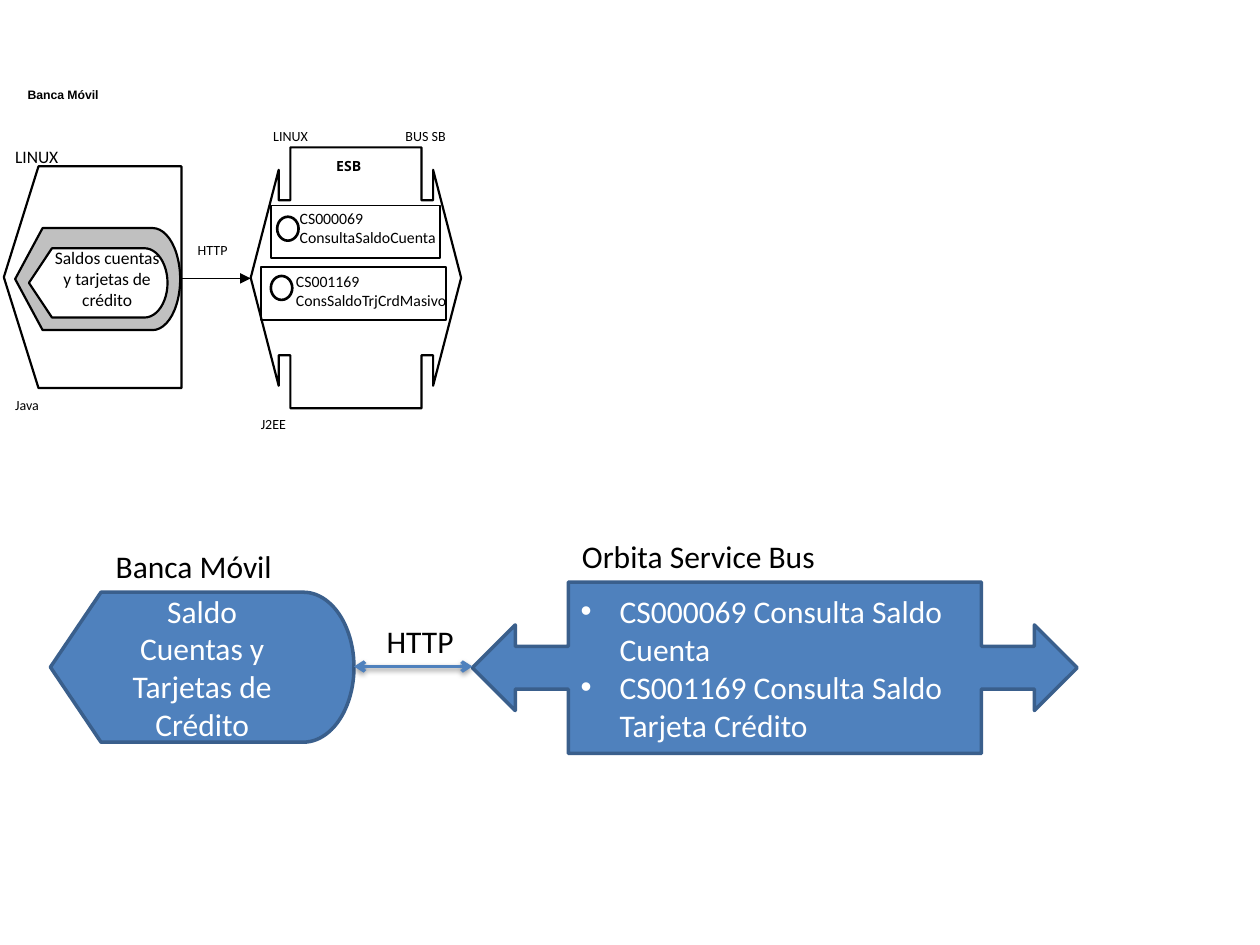
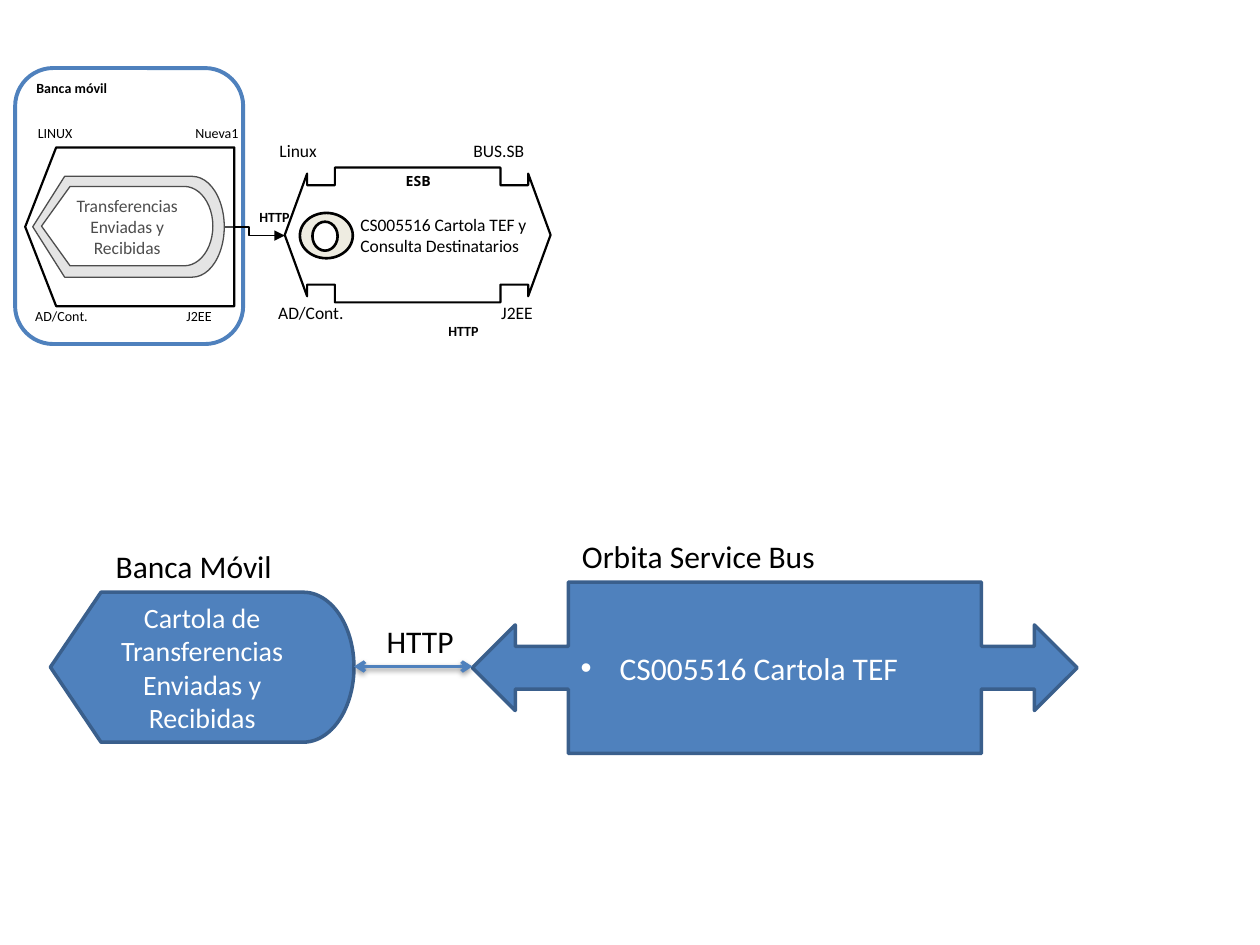
"""Build two slides that map mobile banking services to a service bus."""
from lxml import etree
from pptx import Presentation
from pptx.dml.color import RGBColor
from pptx.enum.dml import MSO_LINE
from pptx.enum.shapes import MSO_CONNECTOR, MSO_SHAPE
from pptx.enum.text import MSO_ANCHOR, MSO_AUTO_SIZE, PP_ALIGN
from pptx.oxml.ns import qn
from pptx.util import Inches, Pt

BLACK = RGBColor(0x00, 0x00, 0x00)
WHITE = RGBColor(0xFF, 0xFF, 0xFF)
SILVER = RGBColor(0xC0, 0xC0, 0xC0)
PALE_GREY = RGBColor(0xD9, 0xD9, 0xD9)
CREAM = RGBColor(0xEE, 0xEC, 0xE1)
BLUE = RGBColor(0x4F, 0x81, 0xBD)
DARK_BLUE = RGBColor(0x3A, 0x5F, 0x8C)

BODY_FONT = "Calibri"
BUS_FONT = "Open Sans"
TITLE_FONT = "Arial"

CALLOUT = MSO_SHAPE.LEFT_RIGHT_ARROW_CALLOUT
DISPLAY = MSO_SHAPE.FLOWCHART_DISPLAY
PENTAGON = MSO_SHAPE.PENTAGON
ELLIPSE = MSO_SHAPE.OVAL
RECTANGLE = MSO_SHAPE.RECTANGLE
ROUNDED = MSO_SHAPE.ROUNDED_RECTANGLE
ELBOW = MSO_CONNECTOR.ELBOW
STRAIGHT = MSO_CONNECTOR.STRAIGHT
SOLID = MSO_LINE.SOLID
TOP, MIDDLE = MSO_ANCHOR.TOP, MSO_ANCHOR.MIDDLE
LEFT, CENTER = PP_ALIGN.LEFT, PP_ALIGN.CENTER
GROW, FIXED = MSO_AUTO_SIZE.SHAPE_TO_FIT_TEXT, MSO_AUTO_SIZE.NONE

NORMAL = (0.1, 0.05, 0.1, 0.05)
NO_SIDES = (0, 0.05, 0, 0.05)
NO_RIGHT = (0.1, 0.05, 0, 0.05)
NO_INSETS = (0, 0, 0, 0)


def add_child(parent, tag, **attributes):
    """Append a drawing element with its attributes."""
    child = etree.SubElement(parent, qn(tag))
    for name, value in attributes.items():
        child.set(name, str(value))
    return child


def write(box, lines, size, color=BLACK, align=LEFT, anchor=TOP, insets=NORMAL,
          font=BODY_FONT, bold=False, bullets=False):
    """Fill a box with one paragraph for each line."""
    frame = box.text_frame
    frame.word_wrap = True
    frame.vertical_anchor = anchor
    (frame.margin_left, frame.margin_top,
     frame.margin_right, frame.margin_bottom) = map(Inches, insets)
    for index, line in enumerate(lines):
        para = frame.add_paragraph() if index else frame.paragraphs[0]
        para.text = line
        para.alignment = align
        para.font.name = font
        para.font.size = Pt(size)
        para.font.bold = bold
        para.font.color.rgb = color
        if bullets:
            add_bullet(para)


def add_bullet(para):
    """Give a paragraph a round bullet and a hanging indent."""
    properties = para._p.get_or_add_pPr()
    properties.set("marL", str(Inches(0.31)))
    properties.set("indent", str(-Inches(0.31)))
    bullet_font = etree.Element(qn("a:buFont"), typeface="Arial")
    bullet = etree.Element(qn("a:buChar"), char="•")
    properties.insert(0, bullet_font)
    bullet_font.addnext(bullet)


def add_label(page, text, at, size, grow=True, wrap=True, **style):
    """Add a text box."""
    box = page.shapes.add_textbox(*map(Inches, at))
    write(box, [text], size, **style)
    box.text_frame.word_wrap = wrap
    box.text_frame.auto_size = GROW if grow else FIXED


def add_figure(page, kind, at, fill=None, line=BLACK, width=1.25,
               adjust=(), turn=0, opacity=None):
    """Add an outlined preset shape, filled when a colour is given."""
    figure = page.shapes.add_shape(kind, *map(Inches, at))
    figure.shadow.inherit = False
    figure.rotation = turn
    for index, value in enumerate(adjust):
        figure.adjustments[index] = value
    if fill is None:
        figure.fill.background()
    else:
        figure.fill.solid()
        figure.fill.fore_color.rgb = fill
    if opacity is not None:
        color = figure._element.spPr.find(qn("a:solidFill"))[0]
        add_child(color, "a:alpha", val=opacity * 1000)
    figure.line.color.rgb = line
    figure.line.width = Pt(width)
    return figure


def add_arrow(page, kind, start, end, color, width, head=None, tail=None, shadow=False):
    """Add a connector with arrowheads and an optional soft shadow."""
    arrow = page.shapes.add_connector(kind, *map(Inches, start + end))
    arrow.line.color.rgb = color
    arrow.line.width = Pt(width)
    arrow.line.dash_style = SOLID
    outline = arrow.line._get_or_add_ln()
    if head:
        add_child(outline, "a:headEnd", type=head)
    if tail:
        add_child(outline, "a:tailEnd", type=tail)
    effects = add_child(arrow._element.spPr, "a:effectLst")
    if shadow:
        cast = add_child(effects, "a:outerShdw", blurRad=Pt(3.1), dist=Pt(1.6),
                         dir=90 * 60000, rotWithShape=0)
        shade = add_child(cast, "a:srgbClr", val=BLACK)
        add_child(shade, "a:alpha", val=38000)


def add_server(page, at, **style):
    """Add the left-pointing pentagon of an application server."""
    add_figure(page, PENTAGON, at, adjust=[0.195], turn=180, **style)


def add_summary(page, client, client_size, services):
    """Add the large blue diagram at the foot of a slide."""
    bus = add_figure(page, CALLOUT, (3.75, 4.62, 4.8, 1.36), BLUE, DARK_BLUE, 2,
                     adjust=[0.25, 0.25, 0.25, 0.683])
    write(bus, services, 18, WHITE, anchor=MIDDLE, bullets=True)
    add_label(page, "Orbita Service Bus", (4.52, 4.21, 2.09, 0.4), 18, wrap=False)
    screen = add_figure(page, DISPLAY, (0.4, 4.7, 2.41, 1.19), BLUE, DARK_BLUE, 2)
    write(screen, [client], client_size, WHITE, CENTER, MIDDLE)
    add_label(page, "HTTP", (2.97, 4.89, 0.74, 0.4), 18, wrap=False)
    add_label(page, "Banca Móvil", (0.82, 4.29, 1.46, 0.4), 18, wrap=False)
    add_arrow(page, STRAIGHT, (2.81, 5.29), (3.75, 5.29), BLUE, 2,
              head="arrow", tail="arrow", shadow=True)


def build_balances(page):
    """Draw the account and card balance services."""
    add_arrow(page, ELBOW, (1.43, 2.21), (1.99, 2.21), BLACK, 1, tail="triangle")
    add_label(page, "LINUX", (2.07, 0.96, 0.8, 0.24), 8)
    add_label(page, "BUS SB", (3.12, 0.96, 0.8, 0.24), 8)
    add_figure(page, CALLOUT, (1.99, 1.17, 1.67, 2.07), WHITE,
               adjust=[0.737, 0.513, 0.133, 0.623])
    add_label(page, "ESB", (2.57, 1.2, 0.47, 0.23), 8, font=BUS_FONT, bold=True)
    add_label(page, "HTTP", (1.47, 1.87, 0.51, 0.24), 8)
    add_label(page, "CS000069 ConsultaSaldoCuenta", (2.28, 1.63, 1.34, 0.36), 9,
              grow=False, anchor=MIDDLE)
    add_label(page, "CS001169 ConsSaldoTrjCrdMasivo", (2.25, 2.06, 1.38, 0.5), 9,
              grow=False, anchor=MIDDLE, insets=NO_RIGHT)
    add_server(page, (0.03, 1.32, 1.41, 1.76))
    add_label(page, "Banca Móvil", (0.12, 0.64, 0.88, 0.26), 7, font=TITLE_FONT, bold=True)
    add_figure(page, DISPLAY, (0.12, 1.81, 1.31, 0.81), SILVER)
    add_figure(page, DISPLAY, (0.23, 1.97, 1.1, 0.55), WHITE)
    add_label(page, "Saldos cuentas y tarjetas de crédito", (0.31, 1.91, 1.08, 0.6), 10,
              align=CENTER)
    add_label(page, "LINUX", (0.12, 1.11, 1.37, 0.27), 10, insets=NO_SIDES)
    add_label(page, "Java", (0.12, 3.1, 1.39, 0.24), 8, insets=NO_SIDES)
    add_label(page, "J2EE", (2.07, 3.25, 1.56, 0.24), 8, insets=NO_SIDES)
    for left, top in [(2.2, 1.72), (2.15, 2.19)]:
        add_figure(page, ELLIPSE, (left, top, 0.17, 0.19), WHITE, width=1.5)
    for left, top, width in [(2.15, 1.63, 1.34), (2.07, 2.12, 1.47)]:
        add_figure(page, RECTANGLE, (left, top, width, 0.42), width=1)
    add_summary(page, "Saldo Cuentas y Tarjetas de Crédito", 18,
                ["CS000069 Consulta Saldo Cuenta",
                 "CS001169 Consulta Saldo Tarjeta Crédito"])


def build_transfers(page):
    """Draw the transfer statement service."""
    add_figure(page, ELLIPSE, (2.38, 1.69, 0.42, 0.36), CREAM, width=1.5)
    add_figure(page, ROUNDED, (0.12, 0.54, 1.81, 2.19), WHITE, BLUE, 2.25, adjust=[0.167])
    add_arrow(page, ELBOW, (1.69, 1.8), (2.26, 1.87), BLACK, 1, tail="triangle")
    add_label(page, "HTTP", (1.96, 1.61, 0.44, 0.24), 8, bold=True, wrap=False)
    add_figure(page, DISPLAY, (0.26, 1.4, 1.52, 0.8), PALE_GREY, width=0.75)
    screen = add_figure(page, DISPLAY, (0.33, 1.48, 1.36, 0.63), WHITE, width=0.75)
    write(screen, ["Transferencias Enviadas y Recibidas"], 10, align=CENTER,
          anchor=MIDDLE, insets=NO_INSETS)
    add_label(page, "Banca móvil", (0.12, 0.58, 0.9, 0.23), 8, align=CENTER, bold=True)
    add_figure(page, CALLOUT, (2.26, 1.33, 2.11, 1.07),
               adjust=[0.737, 0.455, 0.166, 0.623])
    for text, left, top in [("AD/Cont.", 0.28, 2.39), ("J2EE", 1.48, 2.39),
                            ("LINUX", 0.3, 0.94), ("Nueva1", 1.55, 0.94)]:
        add_label(page, text, (left, top, 0.6, 0.24), 8, insets=NO_SIDES)
    for text, left, top in [("Linux", 2.12, 1.06), ("BUS.SB", 3.66, 1.06),
                            ("AD/Cont.", 2.11, 2.35), ("J2EE", 3.88, 2.35)]:
        add_label(page, text, (left, top, 0.8, 0.27), 10)
    add_figure(page, ELLIPSE, (2.48, 1.76, 0.2, 0.23), WHITE, width=1.5)
    add_label(page, "CS005516 Cartola TEF y Consulta Destinatarios",
              (2.86, 1.65, 1.48, 0.44), 10, insets=NO_SIDES)
    add_server(page, (0.2, 1.17, 1.66, 1.26), fill=WHITE, opacity=30)
    add_label(page, "HTTP", (3.46, 2.51, 0.44, 0.24), 8, bold=True, wrap=False)
    add_label(page, "ESB", (2.97, 1.32, 0.7, 0.24), 8, align=CENTER, font=BUS_FONT, bold=True)
    add_summary(page, "Cartola de Transferencias Enviadas y Recibidas", 16,
                ["CS005516 Cartola TEF"])


def main():
    """Build and save the deck."""
    deck = Presentation()
    deck.slide_width, deck.slide_height = Inches(10), Inches(7.5)
    for build in (build_balances, build_transfers):
        build(deck.slides.add_slide(deck.slide_layouts[6]))
    deck.save("out.pptx")


main()
